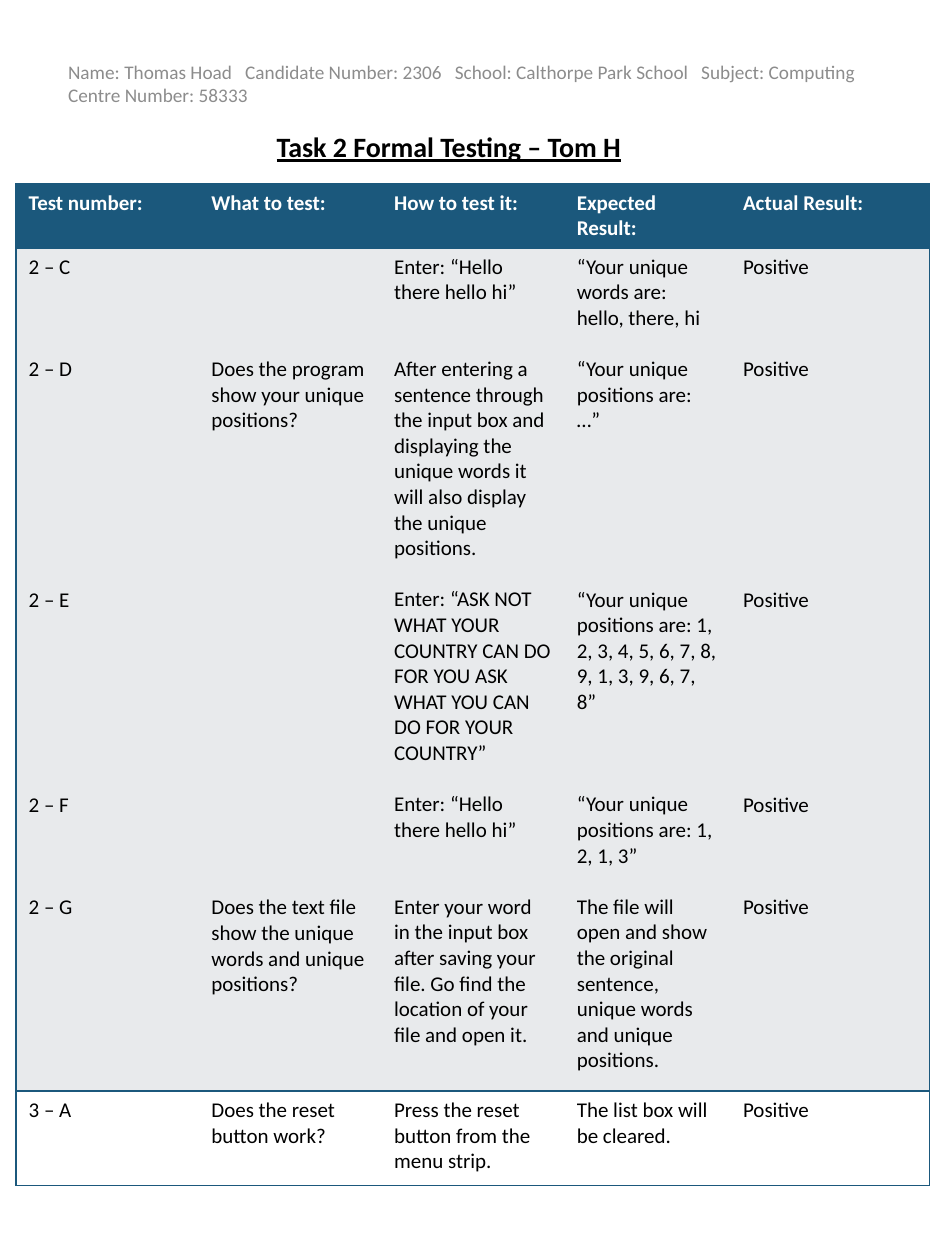
"""Build a portrait page with a table of formal test results."""
from lxml.etree import SubElement
from pptx import Presentation
from pptx.dml.color import RGBColor
from pptx.enum.text import MSO_ANCHOR as Anchor, MSO_AUTO_SIZE as AutoSize, PP_ALIGN as Align
from pptx.oxml.ns import qn
from pptx.util import Pt

BLUE = RGBColor(0x1B, 0x58, 0x7C)
PALE = RGBColor(0xE8, 0xEA, 0xEC)
GREY = RGBColor(0x8C, 0x8C, 0x8C)
BLACK = RGBColor(0, 0, 0)
WHITE = RGBColor(255, 255, 255)
FONT = "Calibri"
NO_GRID = "{2D5ABB26-0587-4C30-8999-92F81FD0307C}"

CANDIDATE = ("Name: Thomas Hoad   Candidate Number: 2306   School: Calthorpe Park School   "
             "Subject: Computing   Centre Number: 58333")
TITLE = "Task 2 Formal Testing – Tom H"
HEADERS = ["Test number:", "What to test:", "How to test it:", "Expected Result:", "Actual Result:"]
TEST_STARTS = [0, 4, 13, 21, 25]
TASK_2 = [
    [("2 – C", 1), ("2 – D", 1), ("2 – E", 1), ("2 – F", 1), ("2 – G", 1)],
    [None, ("Does the program show your unique positions?", 3), None, None,
     ("Does the text file show the unique words and unique positions?", 4)],
    [("Enter: “Hello there hello hi”", 2),
     ("After entering a sentence through the input box and displaying the unique words "
      "it will also display the unique positions.", 8),
     ("Enter: “ASK NOT WHAT YOUR COUNTRY CAN DO FOR YOU ASK WHAT YOU CAN DO FOR YOUR COUNTRY”", 7),
     ("Enter: “Hello there hello hi”", 2),
     ("Enter your word in the input box after saving your file. "
      "Go find the location of your file and open it.", 6)],
    [("“Your unique words are: hello, there, hi", 3),
     ("“Your unique positions are: …”", 3),
     ("“Your unique positions are: 1, 2, 3, 4, 5, 6, 7, 8, 9, 1, 3, 9, 6, 7, 8”", 5),
     ("“Your unique positions are: 1, 2, 1, 3”", 3),
     ("The file will open and show the original sentence, unique words and unique positions.", 7)],
    [("Positive", 1)] * 5,
]
TASK_3 = ["3 – A", "Does the reset button work?", "Press the reset button from the menu strip.",
          "The list box will be cleared.", "Positive"]

COLUMN_WIDTHS = [104.4, 104.4, 104.4, 95, 113.8]
ROW_HEIGHTS = [36.5, 482, 54]
ROW_STYLES = [(BLUE, WHITE, True), (PALE, BLACK, False), (WHITE, BLACK, False)]
LINE_PITCH = 14.65
CELL_MARGIN = 3.6


def style_para(para, size, color, bold=False, underline=False):
    for span in para.runs:
        font = span.font
        font.name, font.size, font.bold, font.underline = FONT, Pt(size), bold, underline
        font.color.rgb = color


def fill_placeholder(box, text, place, align, size, color, **emphasis):
    box.left, box.top, box.width, box.height = map(Pt, place)
    frame = box.text_frame
    frame.text = text
    frame.word_wrap = True
    frame.auto_size = AutoSize.NONE
    frame.vertical_anchor = Anchor.TOP
    para = frame.paragraphs[0]
    para.alignment = align
    para.line_spacing = 1.0
    para.space_before = Pt(2.2 if align == Align.LEFT else 0)
    style_para(para, size, color, **emphasis)


def add_border(cell, side):
    line = SubElement(cell._tc.get_or_add_tcPr(), qn("a:" + side), w=str(Pt(1)))
    SubElement(SubElement(line, qn("a:solidFill")), qn("a:srgbClr"), val=str(BLUE))


def fill_stacked(cell, entries):
    frame = cell.text_frame
    tests = [(start, *entry) for start, entry in zip(TEST_STARTS, entries) if entry]
    frame.text = "\n".join(text for _, text, _ in tests)
    end = tests[0][0]
    cell.margin_top = Pt(CELL_MARGIN + end * LINE_PITCH)
    for para, (start, _, lines) in zip(frame.paragraphs, tests):
        para.space_before = Pt(round((start - end) * LINE_PITCH, 2))
        end = start + lines


def add_results(page):
    frame = page.shapes.add_table(len(ROW_HEIGHTS), len(HEADERS), Pt(9.2), Pt(105.1),
                                  Pt(sum(COLUMN_WIDTHS)), Pt(sum(ROW_HEIGHTS)))
    table = frame.table
    table._tbl.tblPr.find(qn("a:tableStyleId")).text = NO_GRID
    for column, width in zip(table.columns, COLUMN_WIDTHS):
        column.width = Pt(width)
    for row, height in zip(table.rows, ROW_HEIGHTS):
        row.height = Pt(height)
    last = len(HEADERS) - 1
    for r, (content, style) in enumerate(zip([HEADERS, TASK_2, TASK_3], ROW_STYLES)):
        fill, color, bold = style
        for c, value in enumerate(content):
            cell = table.cell(r, c)
            if isinstance(value, str):
                cell.text_frame.text = value
            else:
                fill_stacked(cell, value)
            for para in cell.text_frame.paragraphs:
                style_para(para, 12, color, bold)
            sides = ["lnL"] * (c == 0) + ["lnR"] * (c == last) + ["lnT", "lnB"]
            for side in sides:
                add_border(cell, side)
            cell.fill.solid()
            cell.fill.fore_color.rgb = fill


def main():
    deck = Presentation()
    deck.slide_width, deck.slide_height = Pt(540), Pt(720)
    page = deck.slides.add_slide(deck.slide_layouts[0])
    fill_placeholder(page.placeholders[1], CANDIDATE, (31.7, 31, 475.9, 33.8), Align.LEFT, 11, GREY)
    fill_placeholder(page.shapes.title, TITLE, (148, 70.6, 217, 26.6), Align.CENTER, 16, BLACK,
                     bold=True, underline=True)
    add_results(page)
    deck.save("out.pptx")


if __name__ == "__main__":
    main()
